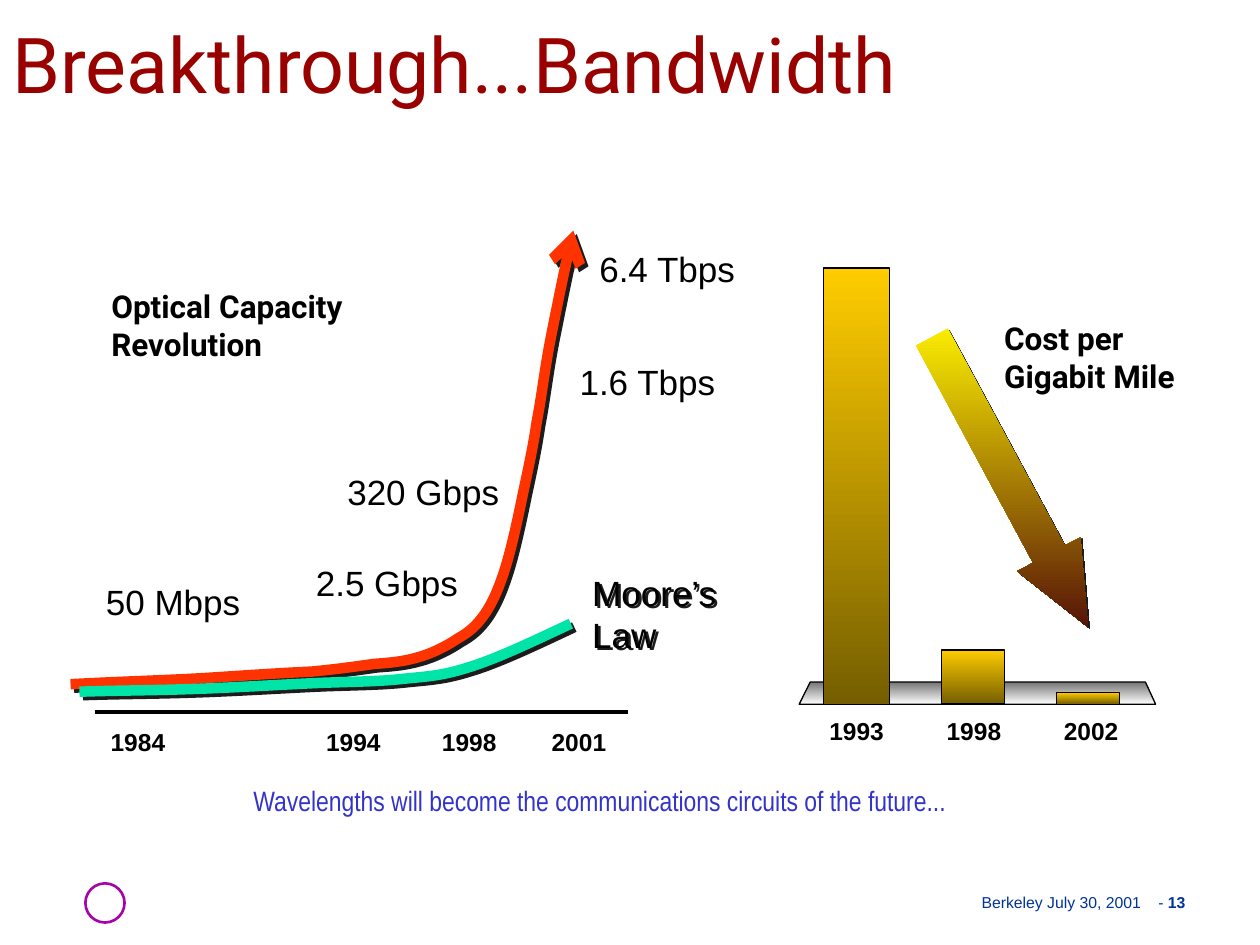
from lxml.etree import SubElement
from pptx import Presentation
from pptx.dml.color import RGBColor
from pptx.enum.shapes import MSO_CONNECTOR, MSO_SHAPE
from pptx.enum.text import MSO_ANCHOR, MSO_AUTO_SIZE as AutoSize, PP_ALIGN as Align
from pptx.oxml.ns import qn
from pptx.util import Pt

COLORS = {
    "black": "000000", "white": "FFFFFF", "title": "990000", "footer": "003399",
    "ring": "A603AB", "closing": "3333CC", "optical": "FF3300", "moore": "00E4A8",
    "shadow": "1C1C1C", "gold": "FFCC00", "bronze": "755E00", "yellow": "FFF200",
    "maroon": "4D0808", "grey": "757575",
}
OPTICAL_CURVE = [
    (0.3, 261), (27.7, 259.5), (55, 258.8), (78.1, 257.4),
    (101.1, 255.9), (122, 254.5), (137.8, 253.8),
    (153.7, 252.3), (163, 250.9), (173.8, 249.4),
    (183.9, 248.7), (190.4, 248), (198.3, 245.8),
    (206.2, 243.7), (214.9, 239.4), (221.4, 235),
    (227.8, 231.4), (232.2, 227.8), (237.2, 220.6),
    (241.5, 214.2), (245.1, 206.2), (248.7, 194.7),
    (252.3, 183.2), (255.9, 166.6), (258.8, 152.2),
    (261.7, 138.6), (264.6, 125.6), (266.7, 111.2),
    (269.6, 96.1), (271, 82.4), (274.6, 63.7),
    (278.2, 45.7), (282.6, 23.4), (287.6, 1.8),
]
MOORE_CURVE = [
    (5.4, 265.3), (25.5, 264.6), (45.7, 264.6), (68.7, 263.8),
    (91.8, 263.1), (124.9, 261), (144.3, 260.2),
    (164.5, 259.5), (175.3, 259.5), (189, 258.1),
    (202.6, 256.6), (211.3, 256.6), (227.1, 251.6),
    (243.7, 246.6), (264.6, 236.5), (286.2, 226.4),
]


def rgb(name):
    """Return the palette colour of that name."""
    return RGBColor.from_string(COLORS[name])


def set_font(paragraph, size, color="black", bold=False, name="Arial"):
    """Format all runs of a paragraph alike."""
    font = paragraph.font
    font.size, font.bold, font.name = Pt(size), bold, name
    font.color.rgb = rgb(color)


def add_text(slide, box, text, size, insets=(0, 0), wrap=False, align=Align.LEFT, **style):
    """Add a one-paragraph text box and return it."""
    shape = slide.shapes.add_textbox(*map(Pt, box))
    frame = shape.text_frame
    frame.word_wrap, frame.auto_size = wrap, AutoSize.SHAPE_TO_FIT_TEXT
    frame.margin_left = frame.margin_right = Pt(insets[0])
    frame.margin_top = frame.margin_bottom = Pt(insets[1])
    paragraph = frame.paragraphs[0]
    paragraph.text, paragraph.alignment = text, align
    set_font(paragraph, size, **style)
    return shape


def add_shadow(shape, distance):
    """Cast a hard shadow down and to the right."""
    shape.shadow.inherit = False
    effects = shape._element.spPr.find(qn("a:effectLst"))
    shadow = SubElement(effects, qn("a:outerShdw"), blurRad="0", dist=str(Pt(distance)),
                        dir="2700000", algn="ctr", rotWithShape="0")
    SubElement(shadow, qn("a:srgbClr"), val=COLORS["shadow"])


def set_gradient(shape, start, end, outlined=True):
    """Fill a shape from top to bottom and give it a thin outline or none."""
    shape.shadow.inherit = False
    shape.fill.gradient()
    shape.fill.gradient_angle = 270
    shape._element.spPr.find(qn("a:gradFill")).set("rotWithShape", "0")
    for stop, color in zip(shape.fill.gradient_stops, (start, end)):
        stop.color.rgb = rgb(color)
    if outlined:
        shape.line.color.rgb = rgb("black")
        shape.line.width = Pt(0.75)
    else:
        shape.line.fill.background()


def add_outline(slide, left, top, points, close):
    """Build a freeform from points relative to a corner."""
    spots = [(Pt(left + x), Pt(top + y)) for x, y in points]
    builder = slide.shapes.build_freeform(*spots[0])
    builder.add_line_segments(spots[1:], close=close)
    return builder.convert_to_shape()


def bend_segments(shape):
    """Turn each three line segments of a freeform into one Bezier segment."""
    outline = next(shape._element.iter(qn("a:path")))
    lines = outline.findall(qn("a:lnTo"))
    for start in range(0, len(lines), 3):
        curve = SubElement(outline, qn("a:cubicBezTo"))
        for line in lines[start:start + 3]:
            curve.append(line[0])
            outline.remove(line)


def add_curve(slide, left, top, controls, color, arrow=False):
    """Draw a thick shadowed curve, with an arrowhead if asked."""
    shape = add_outline(slide, left, top, controls, close=False)
    bend_segments(shape)
    shape.fill.background()
    shape.line.color.rgb = rgb(color)
    shape.line.width = Pt(6)
    line = shape.line._get_or_add_ln()
    SubElement(line, qn("a:round"))
    if arrow:
        SubElement(line, qn("a:tailEnd"), type="arrow")
    add_shadow(shape, 2.8)


def add_title(slide, box, text):
    """Place and format the title placeholder."""
    title = slide.shapes.title
    title.left, title.top, title.width, title.height = map(Pt, box)
    frame = title.text_frame
    frame.text = text
    frame.vertical_anchor, frame.auto_size = MSO_ANCHOR.BOTTOM, AutoSize.NONE
    frame.paragraphs[0].alignment = Align.LEFT
    set_font(frame.paragraphs[0], 44, "title", name="Roboto")


def add_capacity(slide, left, top):
    """Draw the optical capacity curves with their axis and labels."""
    axis = slide.shapes.add_connector(
        MSO_CONNECTOR.STRAIGHT, Pt(left + 14), Pt(top + 276.8), Pt(left + 318.6), Pt(top + 276.8))
    axis.line.color.rgb = rgb("black")
    axis.line.width = Pt(2.25)
    SubElement(axis._element.spPr, qn("a:effectLst"))
    for year, x in (("1984", 23.2), ("1994", 146.3), ("1998", 212.5), ("2001", 275.2)):
        add_text(slide, (left + x, top + 285.4, 32, 16.6), year, 14, bold=True)
    add_text(slide, (left + 20, top + 34.2, 201.6, 43.2), "Optical Capacity Revolution", 18,
             (3.6, 0), wrap=True, bold=True, name="Roboto")
    moore = add_text(slide, (left + 294.8, top + 196.5, 145.4, 48.2), "Moore’s\vLaw", 20,
                     (3.6, 0), wrap=True)
    add_shadow(moore, 2)
    add_curve(slide, left, top, OPTICAL_CURVE, "optical", arrow=True)
    add_curve(slide, left, top, MOORE_CURVE, "moore")
    for speed, x, y, width in (("50 Mbps", 14, 198.3, 90), ("2.5 Gbps", 134, 187.5, 94.3),
                               ("320 Gbps", 152, 135.2, 100), ("1.6 Tbps", 284.7, 72.5, 90.7),
                               ("6.4 Tbps", 296, 7.7, 90.7)):
        add_text(slide, (left + x, top + y, width, 30), speed, 20, (6.5, 3.6))


def add_cost(slide, left, top):
    """Draw the falling cost bars on their base with the arrow."""
    base = add_outline(slide, left, top,
                       [(204.4, 252.5), (0.7, 252.5), (7, 239.8), (198.6, 239.8)], close=True)
    set_gradient(base, "grey", "white")
    bars = (("1993", 14.5, 38, 249.2), ("1998", 82, 36, 31), ("2002", 147.6, 36, 6.6))
    for index, (year, x, width, height) in enumerate(bars):
        bar = slide.shapes.add_shape(MSO_SHAPE.RECTANGLE, Pt(left + x), Pt(top + 252.4 - height),
                                     Pt(width), Pt(height))
        set_gradient(bar, "gold", "bronze")
        label = add_text(slide, (left + 17.5 + 67 * index, top + 261.1, 32, 15.1), year, 14,
                         align=Align.CENTER, bold=True)
        label.text_frame.paragraphs[0].line_spacing = 0.9
    arrow = slide.shapes.add_shape(MSO_SHAPE.RIGHT_ARROW, Pt(left + 27.1), Pt(top + 104.9),
                                   Pt(187.9), Pt(41))
    arrow.adjustments[1] = 1.146
    arrow.rotation = 61.7
    set_gradient(arrow, "yellow", "maroon", outlined=False)
    add_shadow(arrow, 1.4)
    add_text(slide, (left + 114.2, top + 32.2, 167.8, 43.2), "Cost per\vGigabit Mile", 18,
             (3.6, 0), wrap=True, bold=True, name="Roboto")


def add_footer(slide, left, top):
    """Add the ring, the date and the page number."""
    ring = slide.shapes.add_shape(MSO_SHAPE.OVAL, Pt(left + 0.8), Pt(top + 0.8), Pt(22.4), Pt(22.4))
    ring.shadow.inherit = False
    ring.fill.solid()
    ring.fill.fore_color.rgb = rgb("white")
    ring.line.color.rgb = rgb("ring")
    ring.line.width = Pt(1.5)
    note = add_text(slide, (left + 456, top + 6.2, 180, 10.8), "", 9, (6.5, 0), wrap=True)
    note.text_frame.margin_left = Pt(56.9)
    paragraph = note.text_frame.paragraphs[0]
    paragraph.text = "Berkeley July 30, 2001\t- "
    paragraph.add_run().text = "13"
    tabs = SubElement(paragraph._p.get_or_add_pPr(), qn("a:tabLst"))
    SubElement(tabs, qn("a:tab"), pos=str(Pt(101)), algn="l")
    paragraph._p.pPr.insert(0, tabs)
    set_font(paragraph, 9, "footer")
    paragraph.runs[-1].font.bold = True


def main():
    """Build the slide and save it."""
    presentation = Presentation()
    presentation.slide_width, presentation.slide_height = Pt(720), Pt(540)
    slide = presentation.slides.add_slide(presentation.slide_layouts[5])
    add_title(slide, (0, 0, 613.4, 66), "Breakthrough...Bandwidth")
    add_capacity(slide, 40, 130)
    add_cost(slide, 456, 150)
    add_text(slide, (137.8, 444.2, 410.4, 26.6),
             "Wavelengths will become the communications circuits of the future...", 16,
             (7.2, 3.6), color="closing", name="Arial Narrow")
    add_footer(slide, 48, 504)
    presentation.save("out.pptx")


if __name__ == "__main__":
    main()
